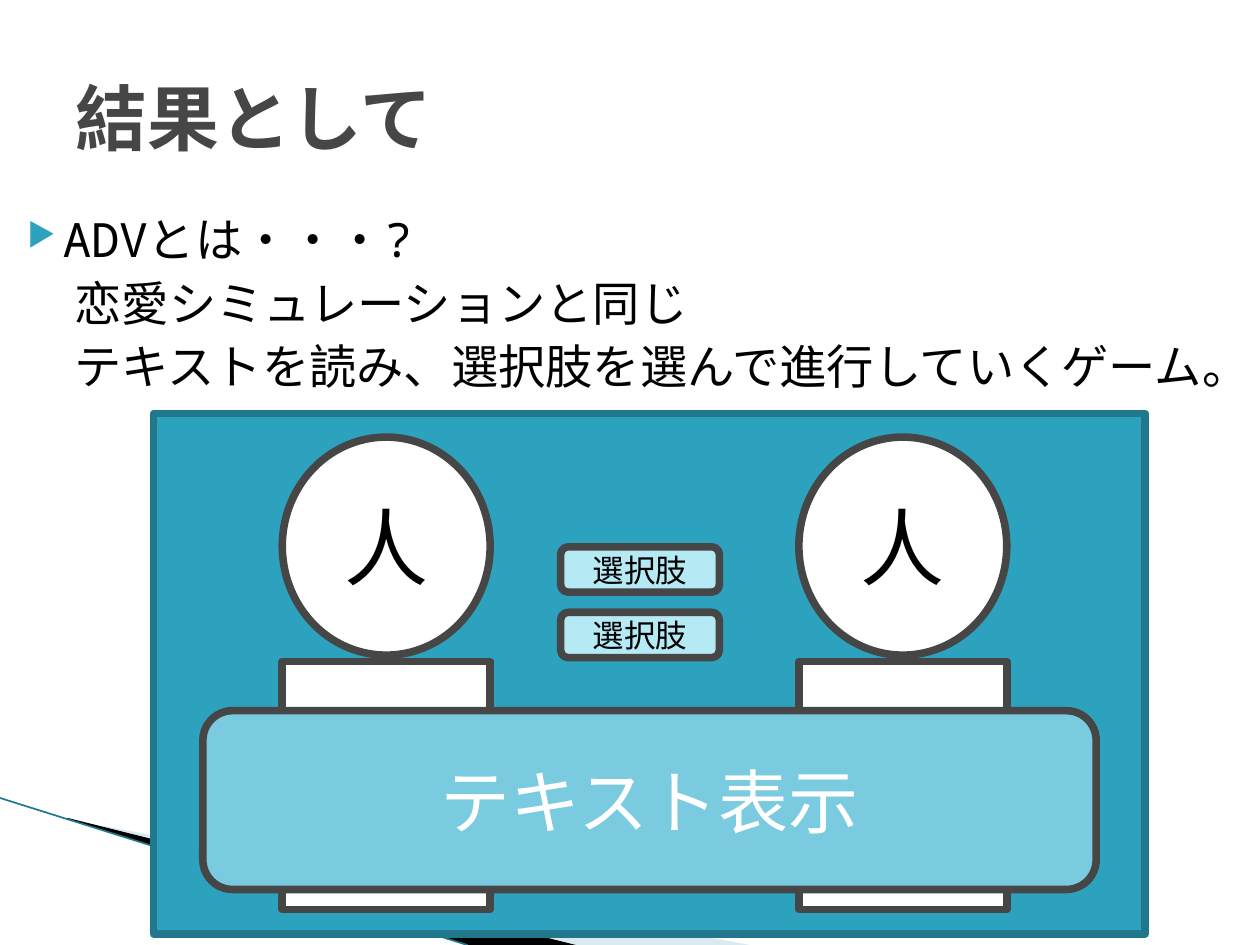
from dataclasses import dataclass

from lxml.etree import SubElement
from pptx import Presentation
from pptx.dml.color import RGBColor
from pptx.enum.shapes import MSO_CONNECTOR, MSO_SHAPE as Shape
from pptx.enum.text import MSO_ANCHOR as Anchor, PP_ALIGN as Align
from pptx.oxml.ns import qn
from pptx.util import Pt


@dataclass(frozen=True)
class Theme:
    font: str = "Noto Sans Mono"
    black: str = "000000"
    white: str = "FFFFFF"
    dark: str = "464646"
    teal: str = "2DA2BF"
    edge: str = "21788D"
    panel: str = "7ACBE0"
    choice: str = "B5E9F4"
    swoosh: str = "A0CBDC"
    title_size: float = 41
    body_size: float = 27
    person_size: float = 48
    panel_size: float = 40
    choice_size: float = 18
    border: float = 4.33


@dataclass(frozen=True)
class Box:
    kind: Shape
    left: float
    top: float
    width: float
    height: float
    fill: str
    line: str
    text: str = ""
    size: float = 18
    color: str = "000000"


T = Theme()


def rgb(color: str) -> RGBColor:
    return RGBColor.from_string(color)


def set_all(target, **values) -> None:
    for name, value in values.items():
        setattr(target, name, value)


def add_text(p, text: str, size: float, color: str, bold: bool = False) -> None:
    r = p.add_run()
    r.text = text
    set_all(r.font, name=T.font, size=Pt(size), bold=bold)
    r.font.color.rgb = rgb(color)
    SubElement(r.font._element, qn("a:ea"), typeface=T.font)


def add_box(s, box: Box) -> None:
    sp = s.shapes.add_shape(box.kind, Pt(box.left), Pt(box.top), Pt(box.width), Pt(box.height))
    sp.shadow.inherit = False
    sp.fill.solid()
    sp.fill.fore_color.rgb = rgb(box.fill)
    sp.line.color.rgb = rgb(box.line)
    sp.line.width = Pt(T.border)
    if box.text:
        sp.text_frame.vertical_anchor = Anchor.MIDDLE
        p = sp.text_frame.paragraphs[0]
        p.alignment = Align.CENTER
        add_text(p, box.text, box.size, box.color)


def add_wedge(s, points: list[tuple[float, float]], color: str, alpha: int = 100) -> None:
    start, *rest = [(Pt(x), Pt(y)) for x, y in points]
    builder = s.shapes.build_freeform(*start)
    builder.add_line_segments(rest, close=True)
    sp = builder.convert_to_shape()
    sp.shadow.inherit = False
    sp.fill.solid()
    sp.fill.fore_color.rgb = rgb(color)
    sp.line.fill.background()
    clr = sp._element.spPr.find(qn("a:solidFill"))[0]
    SubElement(clr, qn("a:alpha"), val=str(alpha * 1000))


prs = Presentation()
set_all(prs, slide_width=Pt(720), slide_height=Pt(540))
s = prs.slides.add_slide(prs.slide_layouts[5])

# Corner swoosh
add_wedge(s, [(39.6, 468.5), (428.4, 540), (328.3, 540), (39.6, 468)], T.swoosh, 40)
add_wedge(s, [(38.2, 467.3), (329, 540), (267.8, 540), (38.9, 468)], T.black)
line = s.shapes.add_connector(MSO_CONNECTOR.STRAIGHT, Pt(0), Pt(456), Pt(267), Pt(540))
line.line.color.rgb = rgb(T.edge)
line.line.width = Pt(0.95)
SubElement(line._element.spPr, qn("a:effectLst"))

# Title
title = s.shapes.title
set_all(title, left=Pt(36), top=Pt(21.6), width=Pt(648), height=Pt(90))
title.text_frame.vertical_anchor = Anchor.MIDDLE
title.text_frame.paragraphs[0].alignment = Align.LEFT
add_text(title.text_frame.paragraphs[0], "結果として", T.title_size, T.dark, True)

# Explanation
tf = s.shapes.add_textbox(Pt(0), Pt(116.6), Pt(720), Pt(356.4)).text_frame
tf.word_wrap = True
lines = ["ADVとは・・・?".replace("?", "?"), " 恋愛シミュレーションと同じ".replace(" ", "\u3000"),
         "\u3000テキストを読み、選択肢を選んで進行していくゲーム。"]
for i, text in enumerate(lines):
    p = tf.add_paragraph() if i else tf.paragraphs[0]
    p.space_before = Pt(4)
    add_text(p, text, T.body_size, T.black)
    pPr = p._p.get_or_add_pPr()
    margin, indent = (8.6, 0) if i else (28.8, -20.2)
    pPr.set("marL", str(Pt(margin)))
    pPr.set("indent", str(Pt(indent)))
    if i == 0:
        SubElement(SubElement(pPr, qn("a:buClr")), qn("a:srgbClr"), val=T.teal)
        SubElement(pPr, qn("a:buSzPct"), val="68000")
        SubElement(pPr, qn("a:buChar"), char="▶")

# Game screen with two people
add_box(s, Box(Shape.RECTANGLE, 87.8, 236.2, 566.6, 297.4, T.teal, T.edge))
for left in (161.3, 456.5):
    add_box(s, Box(Shape.OVAL, left, 249.8, 118.8, 124.6, T.white, T.dark, "人", T.person_size))
    add_box(s, Box(Shape.RECTANGLE, left, 378, 118.8, 141.8, T.white, T.dark))

# Text panel and choices
add_box(s, Box(Shape.ROUNDED_RECTANGLE, 115.9, 406.1, 510.5, 102.2, T.panel, T.dark,
               "テキスト表示", T.panel_size, T.white))
for row in range(2):
    add_box(s, Box(Shape.ROUNDED_RECTANGLE, 320.4, 312.5 + 37.4 * row, 90.7, 25.9,
                   T.choice, T.dark, "選択肢", T.choice_size))

prs.save("out.pptx")
